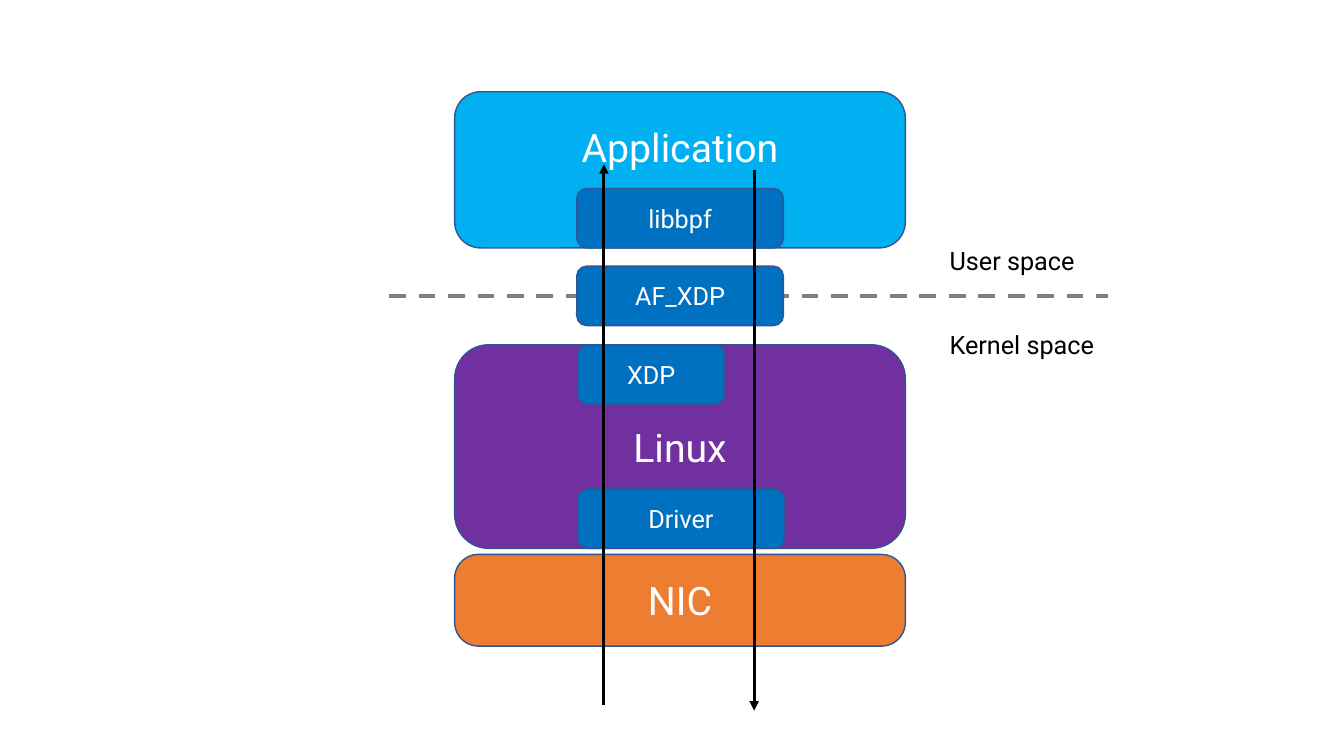
import pptx
import pptx.util
import pptx.dml.color
import pptx.enum.dml
import pptx.enum.shapes
import pptx.enum.text
import pptx.oxml.ns
from lxml import etree
from pptx.util import Inches

COLORS = {
    "application": "00B0F0",
    "linux": "7030A0",
    "nic": "ED7D31",
    "component": "0070C0",
    "outline": "325491",
    "boundary": "808080",
    "light": "FFFFFF",
    "dark": "000000",
}
FONT = "Roboto"

presentation = pptx.Presentation()
presentation.slide_width = Inches(13.33)
presentation.slide_height = Inches(7.5)
slide = presentation.slides.add_slide(presentation.slide_layouts[6])


def write_text(shape, text, size, color):
    paragraph = shape.text_frame.paragraphs[0]
    paragraph.text = text
    paragraph.font.name = FONT
    paragraph.font.size = pptx.util.Pt(size)
    paragraph.font.color.rgb = pptx.dml.color.RGBColor.from_string(COLORS[color])
    return paragraph


def add_line(x1, y1, x2, y2, color, width):
    line = slide.shapes.add_connector(
        pptx.enum.shapes.MSO_CONNECTOR.STRAIGHT,
        Inches(x1), Inches(y1), Inches(x2), Inches(y2))
    line.line.color.rgb = pptx.dml.color.RGBColor.from_string(COLORS[color])
    line.line.width = pptx.util.Pt(width)
    etree.SubElement(line._element.spPr, pptx.oxml.ns.qn("a:effectLst"))
    return line


# Boundary between user space and kernel space
boundary = add_line(3.86, 2.94, 10.99, 2.94, "boundary", 3)
boundary.line.dash_style = pptx.enum.dml.MSO_LINE.DASH

for text, top, width in [("User space", 2.38, 1.47), ("Kernel space", 3.22, 1.67)]:
    label = slide.shapes.add_textbox(Inches(9.32), Inches(top), Inches(width), Inches(0.4))
    label.text_frame.word_wrap = False
    label.text_frame.auto_size = pptx.enum.text.MSO_AUTO_SIZE.SHAPE_TO_FIT_TEXT
    write_text(label, text, 18, "dark")

# Layers, then the components on top of them
boxes = [
    # text, left, top, width, height, fill, text size
    ("Application", 4.51, 0.91, 4.47, 1.55, "application", 28),
    ("Linux", 4.51, 3.42, 4.47, 2.02, "linux", 28),
    ("NIC", 4.51, 5.5, 4.47, 0.91, "nic", 28),
    ("libbpf", 5.72, 1.87, 2.05, 0.59, "component", 18),
    ("AF_XDP", 5.72, 2.64, 2.05, 0.59, "component", 18),
    ("XDP", 5.73, 3.42, 1.46, 0.59, "component", 18),
    ("Driver", 5.73, 4.85, 2.05, 0.59, "component", 18),
]
shapes = {}
for text, left, top, width, height, fill, size in boxes:
    shape = slide.shapes.add_shape(
        pptx.enum.shapes.MSO_SHAPE.ROUNDED_RECTANGLE,
        Inches(left), Inches(top), Inches(width), Inches(height))
    shape.shadow.inherit = False
    shape.fill.solid()
    shape.fill.fore_color.rgb = pptx.dml.color.RGBColor.from_string(COLORS[fill])
    shape.line.color.rgb = pptx.dml.color.RGBColor.from_string(COLORS["outline"])
    shape.line.width = pptx.util.Pt(1)
    shape.text_frame.vertical_anchor = pptx.enum.text.MSO_ANCHOR.MIDDLE
    paragraph = write_text(shape, text, size, "light")
    paragraph.alignment = pptx.enum.text.PP_ALIGN.CENTER
    shapes[text] = shape

shapes["NIC"].adjustments[0] = 0.26
# Lift the Application caption clear of libbpf
shapes["Application"].text_frame.margin_bottom = Inches(0.51)

# Packet paths: receive upwards, send downwards
for x, start, end in [(5.99, 6.99, 1.63), (7.48, 1.69, 7.05)]:
    arrow = add_line(x, start, x, end, "dark", 2.25)
    etree.SubElement(arrow.line._get_or_add_ln(), pptx.oxml.ns.qn("a:tailEnd"), type="triangle")

presentation.save("out.pptx")
